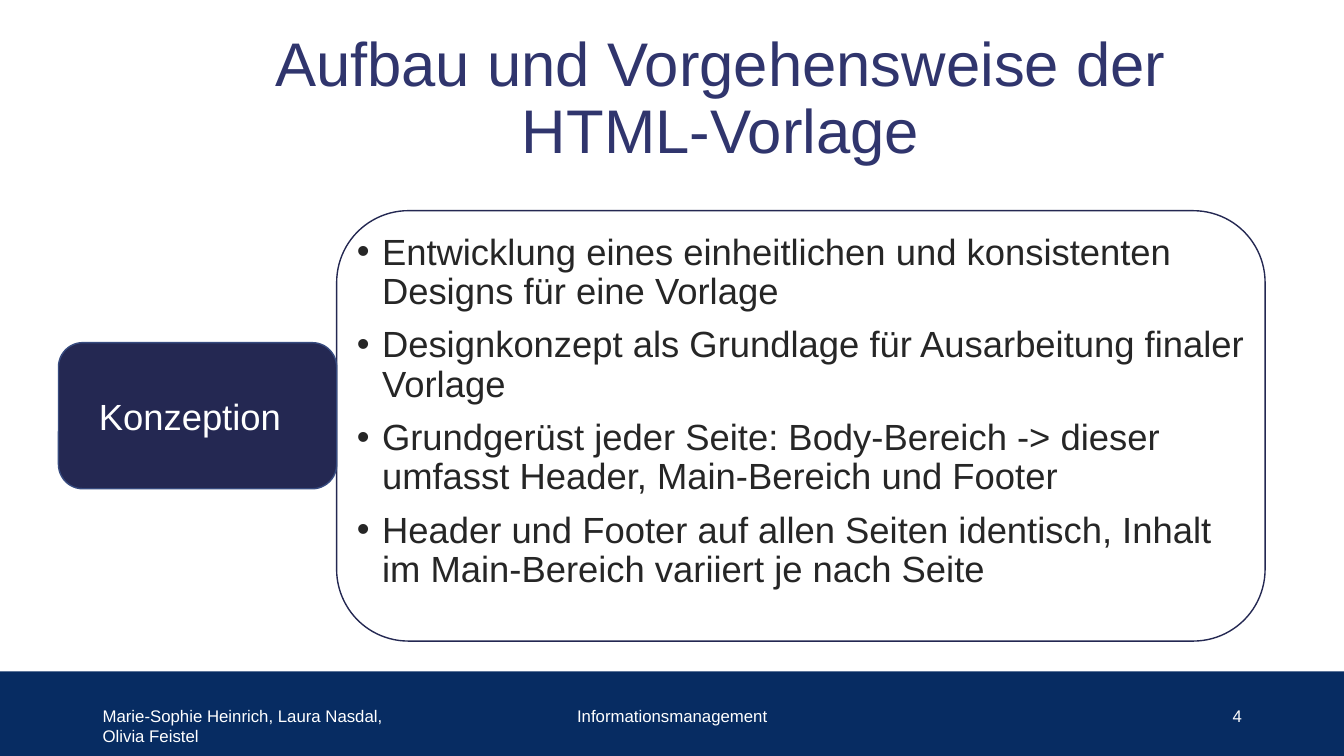
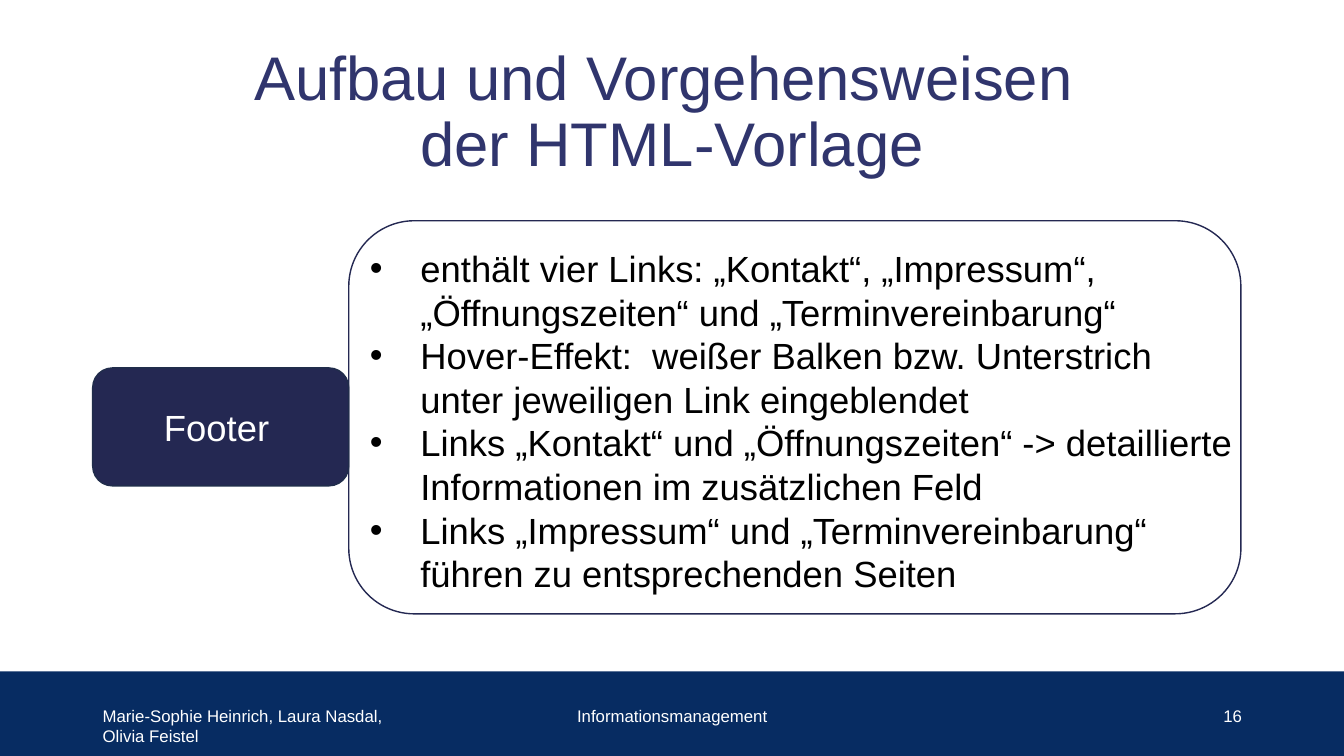
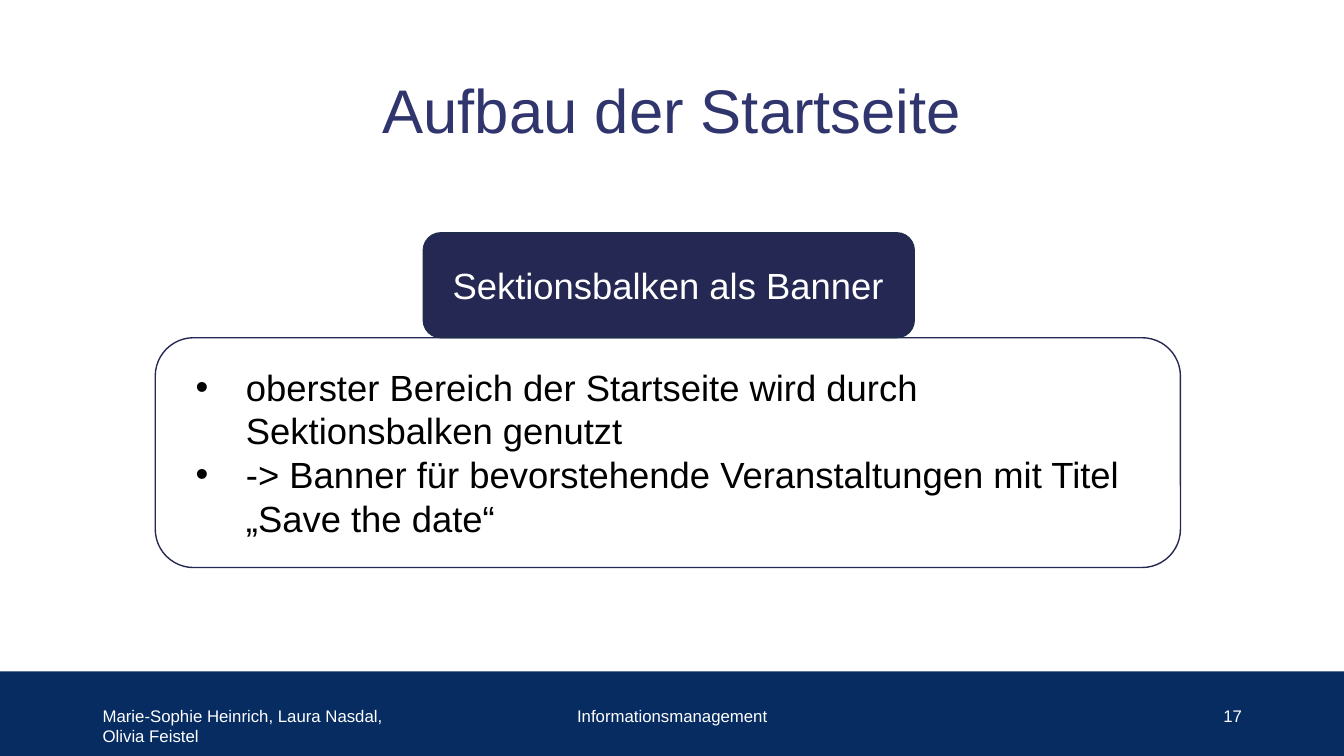
from lxml import etree
from pptx import Presentation
from pptx.dml.color import RGBColor
from pptx.enum.shapes import MSO_SHAPE
from pptx.enum.text import MSO_ANCHOR, MSO_AUTO_SIZE, PP_ALIGN
from pptx.oxml.ns import qn
from pptx.util import Inches, Pt

RECT, ROUND = MSO_SHAPE.RECTANGLE, MSO_SHAPE.ROUNDED_RECTANGLE
LEFT, MID, RIGHT = PP_ALIGN.LEFT, PP_ALIGN.CENTER, PP_ALIGN.RIGHT
TOP, CENTER = MSO_ANCHOR.TOP, MSO_ANCHOR.MIDDLE
FIXED = MSO_AUTO_SIZE.NONE

WIDE, HIGH = Inches(13.33), Inches(7.5)
NAVY, INK, HEAD, WHITE = "072C62", "242852", "30356D", "FFFFFF"
FONT = "Arial"

# All boxes are (left, top, width, height) in percent of the slide
BAND = (0, 88.8, 100, 11.2)
FOOT = [
    ((6.9, 92.67, 22.5, 5.33), LEFT),
    ((33.15, 92.67, 33.75, 5.33), MID),
    ((70.65, 92.67, 22.5, 5.33), RIGHT),
]
TITLE = (6.9, 5.33, 86.25, 19.33)
AUTHORS = "Marie-Sophie Heinrich, Laura Nasdal, Olivia Feistel"
COURSE = "Informationsmanagement"

# List styles: loose has gaps and tight lines, plain has neither
LOOSE = {"color": "262626", "hang": 0.25, "lead": 0.9, "gap": 10}
PLAIN = {"color": "000000", "hang": 0.5, "lead": 1.0, "gap": 0}

SLIDES = [
    {
        "title": "Aufbau und Vorgehensweise der HTML-Vorlage",
        "head": (13.13, 3.6, 81, 19.33),
        "badge": ("Konzeption", (4.35, 45.33, 20.7, 19.33), 0.33, "374B7F"),
        "panel": (25.05, 27.87, 69.08, 56.93),
        "pad": (0.75, 2.4, 0),
        "style": LOOSE,
        "items": [
            "Entwicklung eines einheitlichen und konsistenten Designs für eine Vorlage",
            "Designkonzept als Grundlage für Ausarbeitung finaler Vorlage",
            "Grundgerüst jeder Seite: Body-Bereich -> dieser umfasst Header, "
            "Main-Bereich und Footer",
            "Header und Footer auf allen Seiten identisch, Inhalt im "
            "Main-Bereich variiert je nach Seite",
        ],
        "page": "4",
    },
    {
        "title": "Aufbau und Vorgehensweisen \nder HTML-Vorlage",
        "head": TITLE,
        "badge": ("Footer", (6.9, 48.67, 19.05, 15.6), 0.65, "202D4B"),
        "panel": (25.95, 29.2, 66.38, 52),
        "pad": (0.83, 2.67, -0.83),
        "style": PLAIN,
        "items": [
            "enthält vier Links: „Kontakt“, „Impressum“, „Öffnungszeiten“ "
            "und „Terminvereinbarung“",
            "Hover-Effekt:  weißer Balken bzw. Unterstrich unter jeweiligen "
            "Link eingeblendet",
            "Links „Kontakt“ und „Öffnungszeiten“ -> detaillierte "
            "Informationen im zusätzlichen Feld",
            "Links „Impressum“ und „Terminvereinbarung“ führen zu "
            "entsprechenden Seiten",
        ],
        "page": "16",
    },
    {
        "title": "Aufbau der Startseite",
        "head": TITLE,
        "badge": ("Sektionsbalken als Banner", (31.5, 30.8, 36.53, 13.87), 0.24, "202D4B"),
        "panel": (11.55, 44.67, 76.28, 30.4),
        "pad": (2.25, 2.93, 3.08),
        "style": PLAIN,
        "items": [
            "oberster Bereich der Startseite wird durch Sektionsbalken genutzt",
            "-> Banner für bevorstehende Veranstaltungen mit Titel „Save the date“",
        ],
        "page": "17",
    },
]


def rgb(code):
    return RGBColor.from_string(code)


def put(thing, **values):
    for name, value in values.items():
        setattr(thing, name, value)


def area(box):
    x, y, w, h = box
    return [int(part * full / 100)
            for part, full in ((x, WIDE), (y, HIGH), (w, WIDE), (h, HIGH))]


def place(shape, box):
    put(shape, **dict(zip(("left", "top", "width", "height"), area(box))))


def write(para, text, size, color, **look):
    para.text = text
    put(para, **look)
    for run in para.runs:
        put(run.font, name=FONT, size=Pt(size))
        run.font.color.rgb = rgb(color)


def block(slide, kind, box, fill, line=None):
    shape = slide.shapes.add_shape(kind, *area(box))
    shape.shadow.inherit = False
    shape.fill.solid()
    shape.fill.fore_color.rgb = rgb(fill)
    if line:
        shape.line.color.rgb = rgb(line)
        shape.line.width = Pt(1)
    else:
        shape.line.fill.background()
    return shape


def bullet(para, hang):
    props = para._p.get_or_add_pPr()
    props.set("marL", str(Inches(hang)))
    props.set("indent", str(-Inches(hang)))
    etree.SubElement(props, qn("a:buFont")).set("typeface", FONT)
    etree.SubElement(props, qn("a:buChar")).set("char", "•")


def footer(slide, page):
    block(slide, RECT, BAND, NAVY)
    for text, (box, side) in zip((AUTHORS, COURSE, page), FOOT):
        frame = slide.shapes.add_textbox(*area(box)).text_frame
        frame.word_wrap = True
        write(frame.paragraphs[0], text, 12, WHITE, alignment=side)


def heading(slide, text, box):
    title = slide.shapes.title
    place(title, box)
    put(title.text_frame, auto_size=FIXED, vertical_anchor=CENTER, word_wrap=True)
    write(title.text_frame.paragraphs[0], text, 44, HEAD,
          alignment=MID, line_spacing=0.9)


def badge(slide, text, box, inset, line):
    frame = block(slide, ROUND, box, INK, line).text_frame
    put(frame, margin_left=Inches(inset), margin_right=0,
        vertical_anchor=CENTER, word_wrap=True)
    write(frame.paragraphs[0], text, 26, WHITE, alignment=LEFT)


def panel(slide, box, pad, items, style):
    block(slide, ROUND, box, WHITE, INK)
    x, y, w, h = box
    left, top, right = pad
    body = slide.placeholders[1]
    place(body, (x + left, y + top, w - left - right, h - top))
    slide.shapes._spTree.append(body._element)  # list lies above its panel
    frame = body.text_frame
    put(frame, auto_size=FIXED, vertical_anchor=TOP, word_wrap=True)
    for i, item in enumerate(items):
        para = frame.add_paragraph() if i else frame.paragraphs[0]
        bullet(para, style["hang"])
        write(para, item, 26, style["color"], alignment=LEFT,
              line_spacing=style["lead"],
              space_before=Pt(style["gap"] if i else 0), space_after=Pt(0))


def main():
    deck = Presentation()
    put(deck, slide_width=WIDE, slide_height=HIGH)
    for data in SLIDES:
        slide = deck.slides.add_slide(deck.slide_layouts[1])
        footer(slide, data["page"])
        heading(slide, data["title"], data["head"])
        panel(slide, data["panel"], data["pad"], data["items"], data["style"])
        badge(slide, *data["badge"])
    deck.save("out.pptx")


if __name__ == "__main__":
    main()
